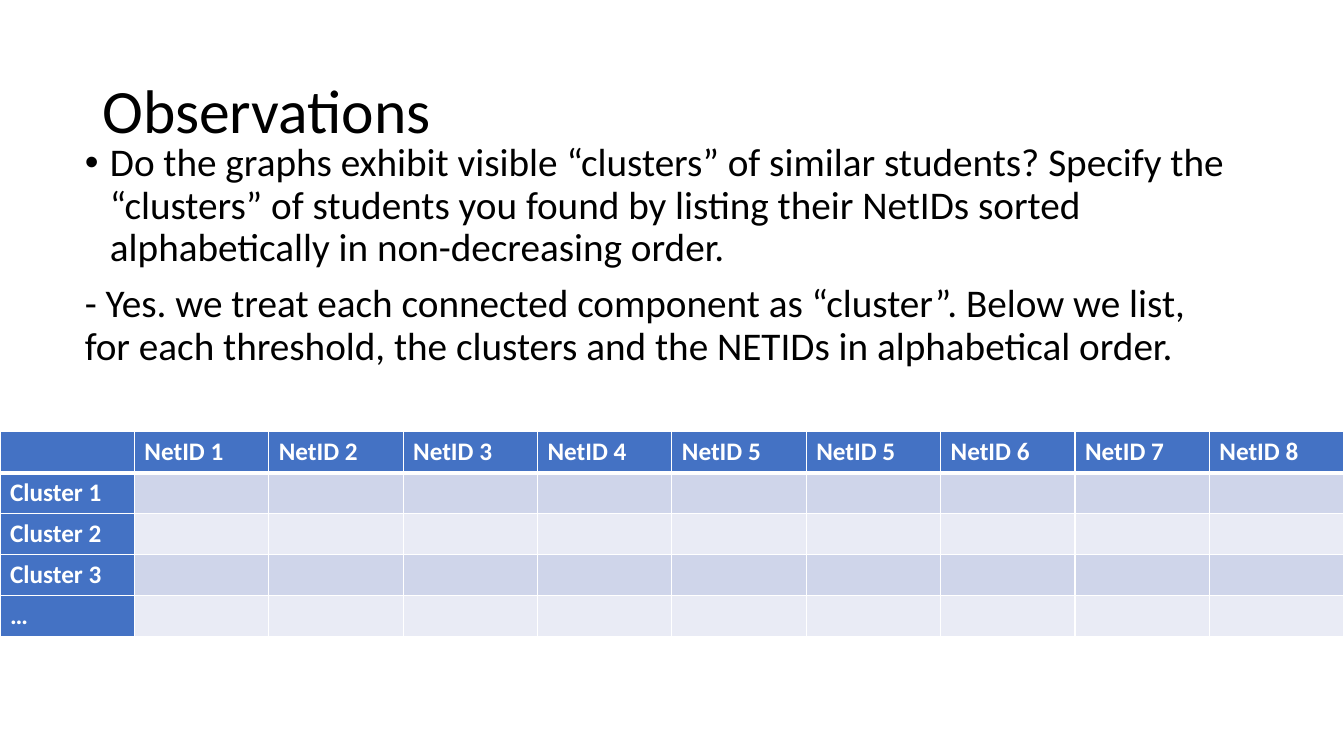
import pptx
import pptx.dml.color
import pptx.enum.text
import pptx.oxml
import pptx.util
from dataclasses import dataclass

Pt = pptx.util.Pt
Anchor = pptx.enum.text.MSO_ANCHOR


@dataclass(frozen=True)
class Theme:
    font: str = "Calibri"
    ink: str = "000000"
    white: str = "FFFFFF"
    head: str = "4472C4"
    bands: tuple = ("CFD5EA", "E9EBF5")
    title: int = 44
    body: int = 28
    cell: int = 18
    thin: int = 1
    thick: int = 3


THEME = Theme()

POINTS = (
    ("Do the graphs exhibit visible “clusters” of similar students? Specify the "
     "“clusters” of students you found by listing their NetIDs sorted "
     "alphabetically in non-decreasing order.", 18),
    ("- Yes. we treat each connected component as “cluster”. Below we list, "
     "for each threshold, the clusters and the NETIDs in alphabetical order.", 0),
)
COLS = ["", *(f"NetID {n}" for n in (1, 2, 3, 4, 5, 5, 6, 7, 8))]
ROWS = ["", "Cluster 1", "Cluster 2", "Cluster 3", "…"]


def color(code):
    return pptx.dml.color.RGBColor.from_string(code)


def element(tag, body="", **attrs):
    space = 'xmlns:a="http://schemas.openxmlformats.org/drawingml/2006/main"'
    text = " ".join(f'{key}="{value}"' for key, value in attrs.items())
    return pptx.oxml.parse_xml(f"<a:{tag} {space} {text}>{body}</a:{tag}>")


def write(para, text, size, ink=THEME.ink, bold=False, line=None, before=None, hang=0):
    """Fill a paragraph; a hang in points gives it a bullet."""
    run = para.add_run()
    run.text = text
    run.font.name = THEME.font
    run.font.size = Pt(size)
    run.font.bold = bold
    run.font.color.rgb = color(ink)
    if line:
        para.line_spacing = line
    if before:
        para.space_before = Pt(before)
    if hang:
        props = para._p.get_or_add_pPr()
        props.set("marL", str(Pt(hang)))
        props.set("indent", str(-Pt(hang)))
        props.append(element("buFont", typeface="Arial"))
        props.append(element("buChar", char="•"))


def frame(slide, box, anchor=Anchor.TOP):
    text = slide.shapes.add_textbox(*map(Pt, box)).text_frame
    text.word_wrap = True
    text.vertical_anchor = anchor
    return text


def title(slide, box):
    text = frame(slide, box, Anchor.MIDDLE)
    write(text.paragraphs[0], "Observations", THEME.title, line=0.9)


def body(slide, box):
    text = frame(slide, box)
    for i, (words, hang) in enumerate(POINTS):
        para = text.add_paragraph() if i else text.paragraphs[0]
        write(para, words, THEME.body, line=0.9, before=10, hang=hang)


def border(cell, row):
    """Draw white edges, thick between the header and the first row."""
    widths = {"L": THEME.thin, "R": THEME.thin,
              "T": THEME.thick if row == 1 else THEME.thin,
              "B": THEME.thick if row == 0 else THEME.thin}
    fill = f'<a:solidFill><a:srgbClr val="{THEME.white}"/></a:solidFill>'
    props = cell._tc.get_or_add_tcPr()
    for side, width in widths.items():
        props.append(element(f"ln{side}", fill, w=Pt(width)))


def grid(slide, box):
    left, top, width, height = box
    table = slide.shapes.add_table(len(ROWS), len(COLS), *map(Pt, box)).table
    table.first_col = True
    for col in table.columns:
        col.width = Pt(width / len(COLS))
    for r, name in enumerate(ROWS):
        table.rows[r].height = Pt(height / len(ROWS))
        for c, label in enumerate(COLS):
            cell = table.cell(r, c)
            border(cell, r)
            head = r == 0 or c == 0
            cell.fill.solid()
            cell.fill.fore_color.rgb = color(THEME.head if head else THEME.bands[(r - 1) % 2])
            text = label if r == 0 else name
            if head and text:
                write(cell.text_frame.paragraphs[0], text, THEME.cell,
                      ink=THEME.white, bold=True)


def main():
    deck = pptx.Presentation()
    deck.slide_width, deck.slide_height = Pt(960), Pt(540)
    slide = deck.slides.add_slide(deck.slide_layouts[6])
    title(slide, (66, 28.75, 828, 104.4))
    body(slide, (53.5, 98.5, 828, 342.6))
    grid(slide, (0, 308.4, 960, 146))
    deck.save("out.pptx")


if __name__ == "__main__":
    main()
